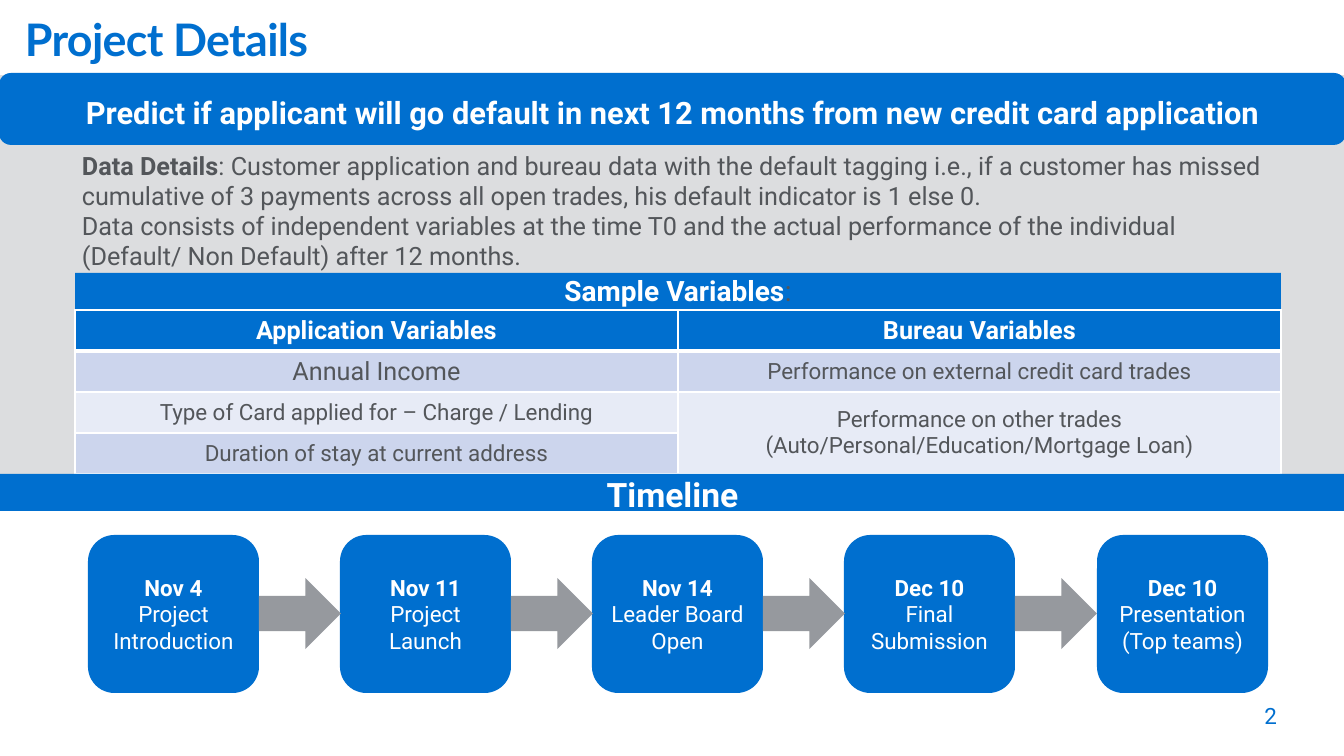
from lxml import etree
from pptx import Presentation
from pptx.dml.color import RGBColor
from pptx.enum.shapes import MSO_SHAPE
from pptx.enum.text import MSO_ANCHOR, PP_ALIGN
from pptx.oxml.ns import qn
from pptx.util import Emu, Pt

EMU_PER_PX = 914400 / 100.8

BLUE = RGBColor(0x00, 0x6F, 0xCF)
WHITE = RGBColor(0xFF, 0xFF, 0xFF)
TEXT_GRAY = RGBColor(0x53, 0x56, 0x5A)
PANEL_GRAY = RGBColor(0xDC, 0xDD, 0xDF)
ARROW_GRAY = RGBColor(0x96, 0x99, 0x9E)
BAND_DARK = RGBColor(0xCC, 0xD5, 0xED)
BAND_LIGHT = RGBColor(0xE7, 0xEB, 0xF6)

RECT = MSO_SHAPE.RECTANGLE
ROUNDED = MSO_SHAPE.ROUNDED_RECTANGLE
ARROW = MSO_SHAPE.RIGHT_ARROW
TOP, MIDDLE, BOTTOM = MSO_ANCHOR.TOP, MSO_ANCHOR.MIDDLE, MSO_ANCHOR.BOTTOM
LEFT, CENTER, RIGHT = PP_ALIGN.LEFT, PP_ALIGN.CENTER, PP_ALIGN.RIGHT

VARIABLES = [
    ("Application Variables", "Bureau Variables"),
    ("Annual Income", "Performance on external credit card trades"),
    ("Type of Card applied for – Charge / Lending",
     "Performance on other trades (Auto/Personal/Education/Mortgage Loan)"),
    ("Duration of stay at current address", ""),
]
ROW_FILLS = [BLUE, BAND_DARK, BAND_LIGHT, BAND_DARK]

MILESTONES = [
    ("Nov 4", "Project Introduction"),
    ("Nov 11", "Project Launch"),
    ("Nov 14", "Leader Board Open"),
    ("Dec 10", "Final Submission"),
    ("Dec 10", "Presentation (Top teams)"),
]


def px(value):
    return Emu(round(value * EMU_PER_PX))


def style(paragraph, size, color, bold=None, align=LEFT, font="Roboto"):
    paragraph.alignment = align
    paragraph.font.name = font
    paragraph.font.size = Pt(size)
    paragraph.font.color.rgb = color
    paragraph.font.bold = bold


def add_run(paragraph, text, bold):
    run = paragraph.add_run()
    run.text = text
    run.font.bold = bold
    return run


def set_frame(frame, anchor, inset=True):
    frame.word_wrap = True
    frame.vertical_anchor = anchor
    if not inset:
        frame.margin_left = frame.margin_right = 0
        frame.margin_top = frame.margin_bottom = 0
    return frame


def add_block(slide, kind, box, color):
    block = slide.shapes.add_shape(kind, *map(px, box))
    block.shadow.inherit = False
    block.fill.solid()
    block.fill.fore_color.rgb = color
    block.line.fill.background()
    return block


def add_text(slide, box, anchor=TOP, inset=True):
    return set_frame(slide.shapes.add_textbox(*map(px, box)).text_frame, anchor, inset)


def add_title(slide, box):
    heading = add_text(slide, box, inset=False).paragraphs[0]
    style(heading, 32, BLUE, True, font="Lato")
    heading.line_spacing = 0.9
    run = add_run(heading, "Project Details", True)
    run.font._element.set("spc", "-50")


def add_page_number(slide, box):
    number = add_text(slide, box, BOTTOM, inset=False).paragraphs[0]
    number.text = "2"
    style(number, 16, BLUE, align=RIGHT)


def add_data_details(slide, box):
    frame = add_text(slide, box)
    details = frame.paragraphs[0]
    style(details, 18, TEXT_GRAY)
    add_run(details, "Data Details", True)
    add_run(details, ": Customer application and bureau data with the default tagging i.e., "
            "if a customer has missed cumulative of 3 payments across all open trades, "
            "his default indicator is 1 else 0.", False)
    contents = frame.add_paragraph()
    contents.text = ("Data consists of independent variables at the time T0 and the actual "
                     "performance of the individual (Default/ Non Default) after 12 months.")
    style(contents, 18, TEXT_GRAY)


def add_goal_banner(slide, box):
    banner = add_block(slide, ROUNDED, box, BLUE)
    goal = set_frame(banner.text_frame, MIDDLE).paragraphs[0]
    goal.text = ("Predict if applicant will go default in next 12 months "
                 "from new credit card application")
    style(goal, 22, WHITE, True, CENTER)
    goal.line_spacing = 1.2
    goal.space_before = Pt(9)


def add_section_bar(slide, box, text, size):
    bar = add_block(slide, RECT, box, BLUE)
    label = set_frame(bar.text_frame, TOP, inset=False).paragraphs[0]
    style(label, size, WHITE, align=CENTER)
    add_run(label, text, True)
    return label


def set_borders(cell, top, bottom):
    """Draw white cell borders; widths are in points."""
    properties = cell._tc.get_or_add_tcPr()
    edges = [("a:lnL", 1), ("a:lnR", 1), ("a:lnT", top), ("a:lnB", bottom)]
    for position, (tag, width) in enumerate(edges):
        edge = etree.Element(qn(tag), w=str(Pt(width)))
        fill = etree.SubElement(edge, qn("a:solidFill"))
        etree.SubElement(fill, qn("a:srgbClr"), val=str(WHITE))
        properties.insert(position, edge)


def add_variables_table(slide, box):
    rows, columns = len(VARIABLES), len(VARIABLES[0])
    table = slide.shapes.add_table(rows, columns, *map(px, box)).table
    for r, texts in enumerate(VARIABLES):
        table.rows[r].height = px(box[3] // rows)
        for c, text in enumerate(texts):
            cell = table.cell(r, c)
            cell.fill.solid()
            cell.fill.fore_color.rgb = ROW_FILLS[r]
            cell.vertical_anchor = MIDDLE
            set_borders(cell, 3 if r == 1 else 1, 3 if r == 0 else 1)
            if text:
                entry = cell.text_frame.paragraphs[0]
                entry.text = text
                size = 18 if r == 0 or (r, c) == (1, 0) else 16
                style(entry, size, WHITE if r == 0 else TEXT_GRAY, r == 0, CENTER)
    table.cell(2, 1).merge(table.cell(3, 1))


def add_milestones(slide, box):
    left, top, width, height = box
    card_width, arrow_width, arrow_height = 171, 82, 71
    gaps = len(MILESTONES) - 1
    card_lefts = [left + (width - card_width) * i // gaps for i in range(gaps + 1)]

    # Milestone cards
    for card_left, (date, event) in zip(card_lefts, MILESTONES):
        card = add_block(slide, ROUNDED, (card_left, top, card_width, height), BLUE)
        label = set_frame(card.text_frame, MIDDLE).paragraphs[0]
        style(label, 16, WHITE, align=CENTER)
        add_run(label, date, True)
        label.add_line_break()
        add_run(label, event, False)

    # Arrows between cards
    arrow_top = top + (height - arrow_height) // 2
    for card_left in card_lefts[:-1]:
        arrow_box = (card_left + card_width, arrow_top, arrow_width, arrow_height)
        add_block(slide, ARROW, arrow_box, ARROW_GRAY)


def main():
    deck = Presentation()
    deck.slide_width, deck.slide_height = px(1344), px(756)
    slide = deck.slides.add_slide(deck.slide_layouts[6])

    # Project description
    add_block(slide, RECT, (0, 75, 1344, 415), PANEL_GRAY)
    add_title(slide, (25, 18, 1210, 52))
    add_page_number(slide, (1210, 695, 67, 34))
    add_data_details(slide, (72, 145, 1206, 132))
    add_goal_banner(slide, (-1, 73, 1347, 72))

    # Sample variables
    add_variables_table(slide, (75, 310, 1206, 164))
    variables_label = add_section_bar(slide, (75, 273, 1206, 36), "Sample Variables", 20)
    add_run(variables_label, ":", False).font.color.rgb = TEXT_GRAY

    # Timeline
    add_section_bar(slide, (0, 474, 1345, 37), "Timeline", 24)
    add_milestones(slide, (88, 535, 1180, 158))

    deck.save("out.pptx")


if __name__ == "__main__":
    main()
